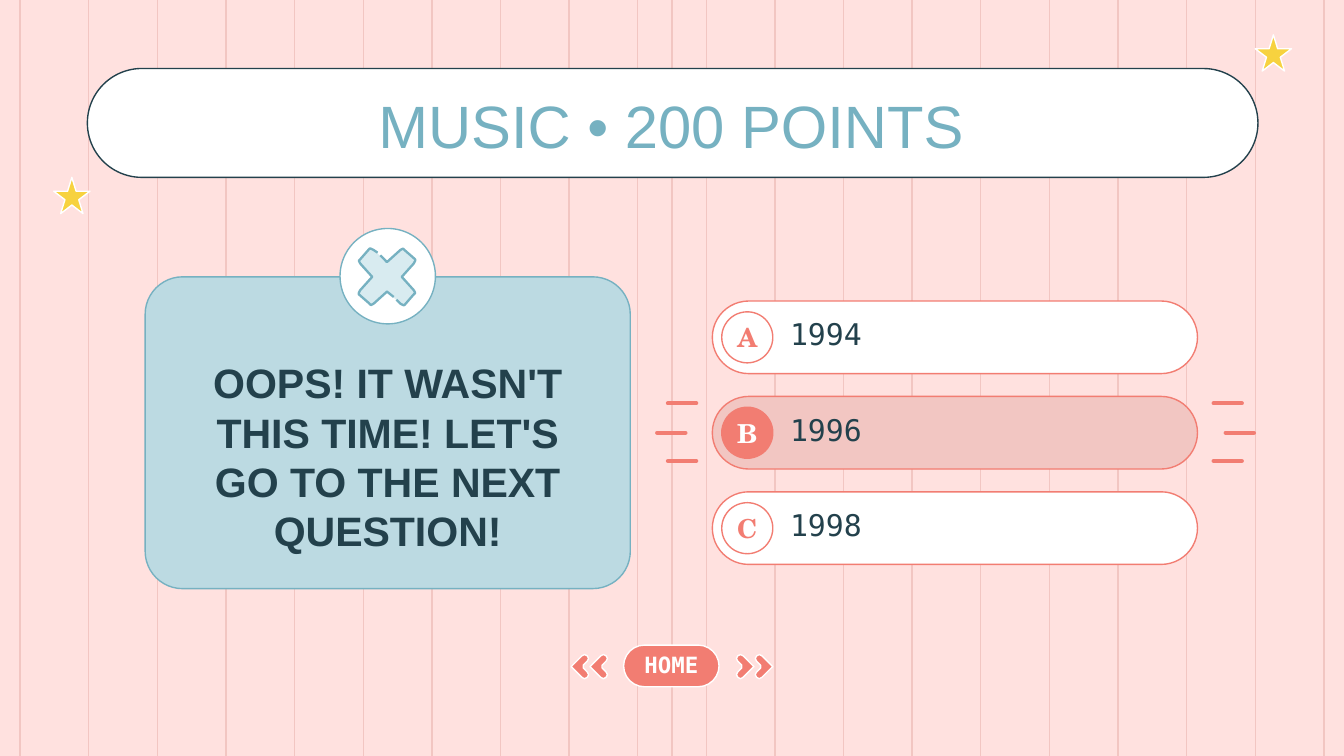
from pptx import Presentation
from pptx.dml.color import RGBColor
from pptx.enum.shapes import MSO_CONNECTOR, MSO_SHAPE
from pptx.enum.text import MSO_ANCHOR, PP_ALIGN
from pptx.oxml.ns import qn
from pptx.util import Inches, Pt
from lxml import etree

LINE = MSO_CONNECTOR.STRAIGHT
PILL = ROUNDED = MSO_SHAPE.ROUNDED_RECTANGLE
OVAL, STAR = MSO_SHAPE.OVAL, MSO_SHAPE.STAR_5_POINT
TOP, MIDDLE = MSO_ANCHOR.TOP, MSO_ANCHOR.MIDDLE
LEFT, CENTER = PP_ALIGN.LEFT, PP_ALIGN.CENTER

WIDTH = 10
HEIGHT = WIDTH * 9 / 16
PINK, ROSE, CORAL = "FFE1DF", "F2C6C2", "F27D72"
NAVY, TEAL, SKY, ICE = "23414C", "76B1C1", "BCDAE2", "D8EBF0"
WHITE, YELLOW = "FFFFFF", "F7D23F"
SANS, MONO, SERIF = "Arial", "DejaVu Sans Mono", "TeX Gyre Schola"


def rgb(value):
    return RGBColor.from_string(value)


def paint(sp, fill=None, line=None, weight=0.75):
    sp.shadow.inherit = False
    if fill:
        sp.fill.solid()
        sp.fill.fore_color.rgb = rgb(fill)
    else:
        sp.fill.background()
    if line:
        sp.line.color.rgb = rgb(line)
        sp.line.width = Pt(weight)
    else:
        sp.line.fill.background()


def add_shape(s, kind, box, fill, line, adj=()):
    sp = s.shapes.add_shape(kind, *map(Inches, box))
    for i, value in enumerate(adj):
        sp.adjustments[i] = value
    paint(sp, fill, line)
    return sp


def set_text(sp, text, color, insets, align=CENTER, anchor=MIDDLE, **font):
    """Write one paragraph; insets run left, top, right, bottom."""
    tf = sp.text_frame
    tf.word_wrap = True
    tf.vertical_anchor = anchor
    for side, inset in zip(("left", "top", "right", "bottom"), insets):
        setattr(tf, f"margin_{side}", Inches(inset))
    p = tf.paragraphs[0]
    p.alignment = align
    r = p.add_run()
    r.text = text
    for name, value in font.items():
        setattr(r.font, name, value)
    r.font.color.rgb = rgb(color)


def add_line(s, x1, y1, x2, y2, color, weight):
    line = s.shapes.add_connector(LINE, *map(Inches, (x1, y1, x2, y2)))
    line.line.color.rgb = rgb(color)
    line.line.width = Pt(weight)
    line.line._get_or_add_ln().set("cap", "rnd")
    etree.SubElement(line._element.spPr, qn("a:effectLst"))


def add_outline(s, points, close=True, **colors):
    start, *rest = [(Inches(x), Inches(y)) for x, y in points]
    fb = s.shapes.build_freeform(*start)
    fb.add_line_segments(rest, close=close)
    paint(fb.convert_to_shape(), **colors)


def add_stripes(s):
    gap = (9.85 - 0.15) / 19
    for x in [0.15 + gap * i for i in range(20)] + [WIDTH / 2]:
        add_line(s, x, 0, x, HEIGHT, ROSE, 0.75)


def add_title(s):
    add_shape(s, PILL, (0.65, 0.51, 8.71, 0.81), WHITE, NAVY, [0.5])
    for x, y in ((0.4, 1.32), (9.34, 0.26)):
        add_shape(s, STAR, (x, y, 0.27, 0.27), YELLOW, WHITE, [0.19])
    box = s.shapes.add_textbox(*map(Inches, (1.31, 0.56, 7.37, 0.65)))
    set_text(box, "MUSIC • 200 POINTS", TEAL, (0.1, 0.1, 0.1, 0.1),
             anchor=TOP, size=Pt(32), name=SANS)


def add_cross(s, cx, cy):
    arm = [(0, -0.11), (0.1, -0.2), (0.12, -0.21), (0.13, -0.2),
           (0.21, -0.13), (0.21, -0.12), (0.2, -0.1)]
    arms = []
    for _ in range(4):
        arms.append(arm)
        arm = [(-y, x) for x, y in arm]
    right = [(-0.05, -0.16)] + arms[0] + arms[1] + [(0.07, 0.17)]
    left = [(0.05, 0.15)] + arms[2] + arms[3] + [(-0.07, -0.18)]

    def place(points):
        return [(cx + x, cy + y) for x, y in points]

    add_outline(s, place(sum(arms, [])), fill=ICE)
    for stroke in (right, left):
        add_outline(s, place(stroke), close=False, line=TEAL, weight=1.25)


def add_message(s):
    card = add_shape(s, ROUNDED, (1.08, 2.06, 3.61, 2.32), SKY, TEAL, [0.12])
    set_text(card, "OOPS! IT WASN'T THIS TIME! LET'S GO TO THE NEXT QUESTION!", NAVY,
             (0.3, 0.45, 0.3, 0.1), size=Pt(22), name=SANS, bold=True)
    add_shape(s, OVAL, (2.53, 1.7, 0.71, 0.71), WHITE, TEAL)
    add_cross(s, 2.88, 2.06)


def add_answer(s, y, letter, text, chosen):
    bar_fill, badge_fill, letter_color = (ROSE, CORAL, WHITE) if chosen else (WHITE, WHITE, CORAL)
    bar = add_shape(s, PILL, (5.3, y, 3.61, 0.54), bar_fill, CORAL, [0.5])
    set_text(bar, text, NAVY, (0.5, 0.05, 0.1, 0.1), align=LEFT, size=Pt(16), name=MONO)
    badge = add_shape(s, OVAL, (5.37, y + 0.08, 0.38, 0.38), badge_fill, CORAL)
    set_text(badge, letter, letter_color, (0, 0.1, 0, 0.1), size=Pt(14), name=SERIF, bold=True)


def add_dashes(s):
    for outer, inner in ((4.89, 4.97), (9.12, 9.03)):
        for x, y in ((inner, 3), (outer, 3.22), (inner, 3.43)):
            add_line(s, x, y, x + 0.21, y, CORAL, 2.25)


def add_chevron(s, distance, side):
    """Point away from the slide's middle; side is 1 for right, -1 for left."""
    upper = [(0.13, 0.08), (0.06, 0.01), (0.04, 0), (0.02, 0.01),
             (0.01, 0.03), (0.02, 0.05), (0.05, 0.08)]
    points = upper + [(x, 0.18 - y) for x, y in reversed(upper)] + [(0.14, 0.09)]
    add_outline(s, [(WIDTH / 2 + side * (distance + x), 4.87 + y) for x, y in points],
                fill=CORAL, line=WHITE)


def add_navigation(s):
    home = add_shape(s, PILL, (4.64, 4.8, 0.71, 0.31), CORAL, WHITE, [0.5])
    set_text(home, "HOME", WHITE, (0.1, 0.08, 0.1, 0.1), size=Pt(12), name=MONO, bold=True)
    for side in (1, -1):
        for distance in (0.47, 0.61):
            add_chevron(s, distance, side)


def main():
    prs = Presentation()
    prs.slide_width, prs.slide_height = Inches(WIDTH), Inches(HEIGHT)
    s = prs.slides.add_slide(prs.slide_layouts[6])
    s.background.fill.solid()
    s.background.fill.fore_color.rgb = rgb(PINK)
    add_stripes(s)
    add_title(s)
    add_message(s)
    for i, (letter, year) in enumerate((("A", "1994"), ("B", "1996"), ("C", "1998"))):
        add_answer(s, 2.24 + 0.71 * i, letter, year, chosen=letter == "B")
    add_dashes(s)
    add_navigation(s)
    prs.save("out.pptx")


if __name__ == "__main__":
    main()
